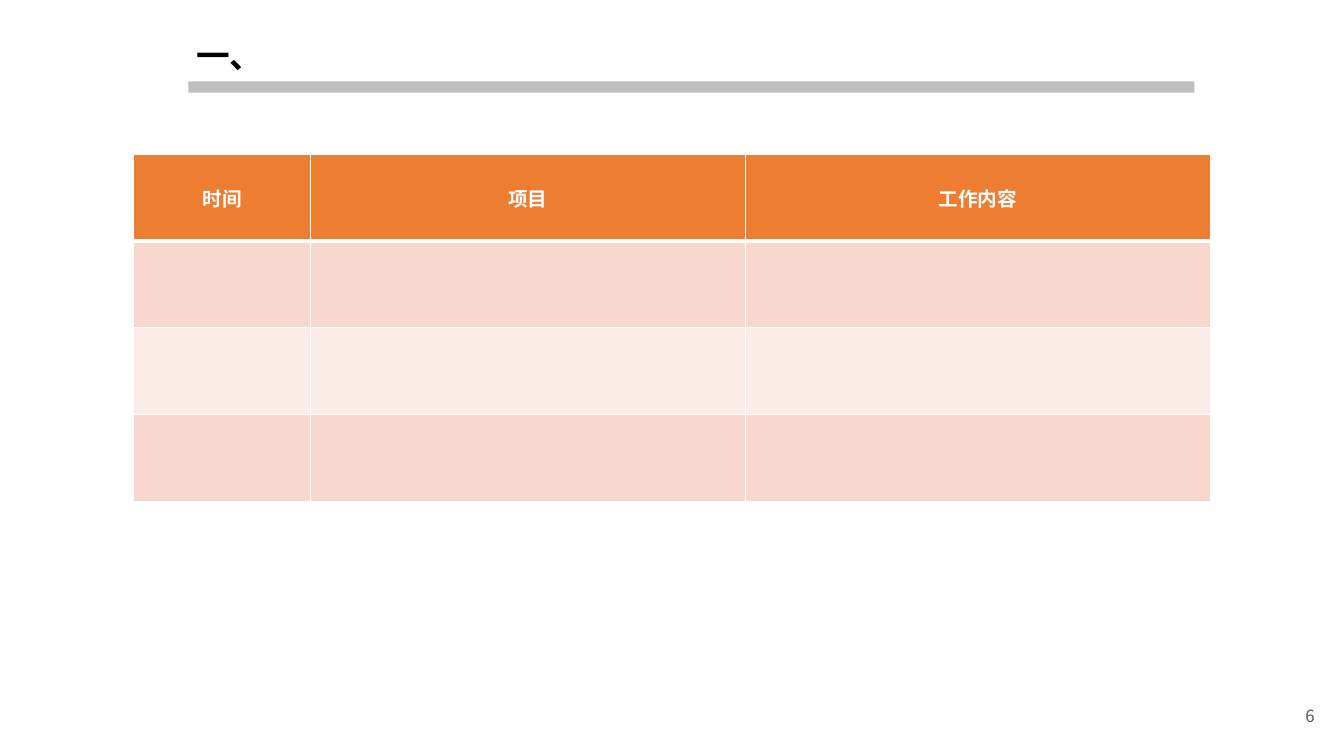
from lxml import etree
from pptx import Presentation
from pptx.dml.color import RGBColor
from pptx.enum import shapes, text
from pptx.oxml import ns
from pptx.util import Pt

WHITE = RGBColor(0xFF, 0xFF, 0xFF)
BLACK = RGBColor(0, 0, 0)
SLATE = RGBColor(0x59, 0x57, 0x57)
GREY = RGBColor(0xBF, 0xBF, 0xBF)
ORANGE = RGBColor(0xED, 0x7D, 0x31)
ROSE = RGBColor(0xF8, 0xD7, 0xCE)
PALE = RGBColor(0xFC, 0xEC, 0xE8)
CJK = "Noto Sans CJK SC"


def write(frame, words, size, color, bold=False, font=CJK, align=None):
    """Add one run, with a CJK face for its East Asian glyphs."""
    para = frame.paragraphs[0]
    para.alignment = align
    run = para.add_run()
    run.text = words
    run.font.size = Pt(size)
    run.font.bold = bold
    run.font.name = font
    run.font.color.rgb = color
    etree.SubElement(run.font._element, ns.qn("a:ea"), typeface=CJK)


def edge(cell, side, width):
    """Draw a white border on one side (L, R, T or B) of a cell."""
    props = cell._tc.get_or_add_tcPr()
    line = etree.SubElement(props, ns.qn("a:ln" + side), w=str(Pt(width)))
    fill = etree.SubElement(line, ns.qn("a:solidFill"))
    etree.SubElement(fill, ns.qn("a:srgbClr"), val=str(WHITE))


deck = Presentation()
deck.slide_width, deck.slide_height = Pt(960), Pt(540)
slide = deck.slides.add_slide(deck.slide_layouts[6])

# Heading with its rule
rule = slide.shapes.add_shape(
    shapes.MSO_SHAPE.RECTANGLE, Pt(134.6), Pt(58.2), Pt(718.6), Pt(8))
rule.shadow.inherit = False
rule.fill.solid()
rule.fill.fore_color.rgb = GREY
rule.line.fill.background()

title = slide.shapes.add_textbox(Pt(133.2), Pt(21.6), Pt(337.7), Pt(36))
title.text_frame.word_wrap = True
title.text_frame.auto_size = text.MSO_AUTO_SIZE.SHAPE_TO_FIT_TEXT
write(title.text_frame, "一、", 24, BLACK, True, "Calibri")

# Work table
heads = ["时间", "项目", "工作内容"]
widths = [126.6, 310.4, 332.6]
bands = [ORANGE, ROSE, PALE, ROSE]
high = 61.9
grid = slide.shapes.add_table(
    len(bands), len(heads), Pt(95.3), Pt(110.4),
    Pt(sum(widths)), Pt(high * len(bands))).table
for col, width in zip(grid.columns, widths):
    col.width = Pt(width)
for r, band in enumerate(bands):
    grid.rows[r].height = Pt(high)
    for c, head in enumerate(heads):
        cell = grid.cell(r, c)
        cell.vertical_anchor = text.MSO_ANCHOR.MIDDLE
        for side in "LRTB":
            thick = (r, side) in [(0, "B"), (1, "T")]
            edge(cell, side, 3 if thick else 1)
        cell.fill.solid()
        cell.fill.fore_color.rgb = band
        if r == 0:
            write(cell.text_frame, head, 14, WHITE, True,
                  align=text.PP_ALIGN.CENTER)

# Page number
page = slide.shapes.add_textbox(Pt(918), Pt(496.8), Pt(28.1), Pt(28.8))
page.text_frame.word_wrap = True
page.text_frame.vertical_anchor = text.MSO_ANCHOR.MIDDLE
write(page.text_frame, "6", 12, SLATE, align=text.PP_ALIGN.RIGHT)

deck.save("out.pptx")
